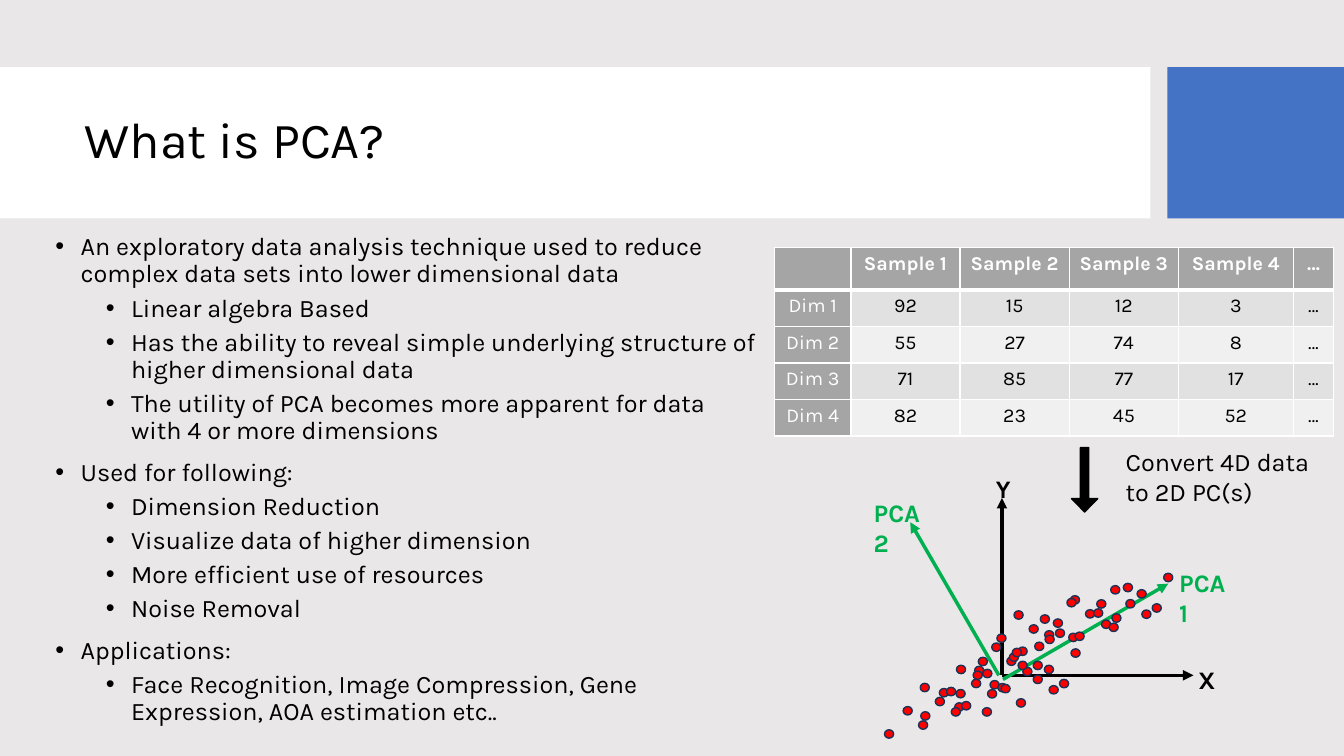
from dataclasses import dataclass

from lxml import etree
from pptx import Presentation
from pptx.dml.color import RGBColor
from pptx.enum.shapes import MSO_CONNECTOR, MSO_SHAPE
from pptx.enum.text import MSO_ANCHOR, MSO_AUTO_SIZE, PP_ALIGN
from pptx.oxml.ns import qn
from pptx.util import Pt

RECT, OVAL, DOWN_ARROW = MSO_SHAPE.RECTANGLE, MSO_SHAPE.OVAL, MSO_SHAPE.DOWN_ARROW
STRAIGHT = MSO_CONNECTOR.STRAIGHT
LEFT, CENTER = PP_ALIGN.LEFT, PP_ALIGN.CENTER
TOP, MIDDLE = MSO_ANCHOR.TOP, MSO_ANCHOR.MIDDLE
NO_FIT = MSO_AUTO_SIZE.NONE


@dataclass(frozen=True)
class Theme:
    font: str = "Karla"
    back: str = "E9E7E7"
    white: str = "FFFFFF"
    black: str = "000000"
    blue: str = "4472C4"
    green: str = "00B050"
    red: str = "FF0000"
    navy: str = "1E3256"
    head: str = "A5A5A5"
    bands: tuple = ("E1E1E1", "F0F0F0")
    title_size: int = 36
    text_size: int = 18
    table_size: int = 14


class Deck:
    """Holds the theme and the current slide."""

    def __init__(self, slide, theme):
        self.s, self.t = slide, theme
        bg = slide.background.fill
        bg.solid()
        bg.fore_color.rgb = RGBColor.from_string(theme.back)

    def run(self, p, text, size, color, bold=False):
        r = p.add_run()
        r.text = text
        r.font.name, r.font.size, r.font.bold = self.t.font, Pt(size), bold
        r.font.color.rgb = RGBColor.from_string(color)

    def place(self, sp, box, anchor):
        sp.left, sp.top, sp.width, sp.height = map(Pt, box)
        tf = sp.text_frame
        tf.word_wrap, tf.auto_size, tf.vertical_anchor = True, NO_FIT, anchor
        return tf

    def title(self, box, text):
        p = self.place(self.s.shapes.title, box, MIDDLE).paragraphs[0]
        p.alignment, p.line_spacing = LEFT, 0.9
        self.run(p, text, self.t.title_size, self.t.black)

    def bullets(self, box, items):
        tf = self.place(self.s.placeholders[1], box, TOP)
        for i, (level, text) in enumerate(items):
            p = tf.add_paragraph() if i else tf.paragraphs[0]
            p.level, p.alignment, p.line_spacing = level, LEFT, 0.9
            p.space_before = Pt(5 if level else 10)
            pPr = p._p.get_or_add_pPr()
            pPr.set("marL", str(Pt(54 if level else 18)))
            pPr.set("indent", str(Pt(-18)))
            etree.SubElement(pPr, qn("a:buFont"), typeface="Arial")
            etree.SubElement(pPr, qn("a:buChar"), char="•")
            self.run(p, text, self.t.text_size, self.t.black)

    def shape(self, parent, kind, box, fill, line=None):
        sp = parent.shapes.add_shape(kind, *map(Pt, box))
        sp.shadow.inherit = False
        sp.fill.solid()
        sp.fill.fore_color.rgb = RGBColor.from_string(fill)
        if line:
            sp.line.color.rgb = RGBColor.from_string(line)
            sp.line.width = Pt(1)
        else:
            sp.line.fill.background()
        return sp

    def backdrop(self, box, fill):
        sp = self.shape(self.s, RECT, box, fill)
        self.s.shapes._spTree.insert(2, sp._element)

    def arrow(self, parent, start, end, color):
        c = parent.shapes.add_connector(STRAIGHT, *map(Pt, start + end))
        c.line.color.rgb = RGBColor.from_string(color)
        c.line.width = Pt(2.5)
        etree.SubElement(c.line._get_or_add_ln(), qn("a:tailEnd"), type="triangle")
        etree.SubElement(c._element.spPr, qn("a:effectLst"))

    def label(self, parent, box, lines, color, bold=False, wrap=False):
        tf = parent.shapes.add_textbox(*map(Pt, box)).text_frame
        tf.word_wrap = wrap
        for i, text in enumerate(lines):
            p = tf.add_paragraph() if i else tf.paragraphs[0]
            self.run(p, text, self.t.text_size, color, bold)

    def border(self, cell, sides):
        tcPr = cell._tc.get_or_add_tcPr()
        for side, width in sides.items():
            ln = etree.SubElement(tcPr, qn(f"a:ln{side}"), w=str(Pt(width)))
            fill = etree.SubElement(ln, qn("a:solidFill"))
            etree.SubElement(fill, qn("a:srgbClr"), val=self.t.white)

    def table(self, left, top, widths, heights, rows):
        box = map(Pt, (left, top, sum(widths), sum(heights)))
        tbl = self.s.shapes.add_table(len(rows), len(widths), *box).table
        for col, width in zip(tbl.columns, widths):
            col.width = Pt(width)
        for i, row in enumerate(rows):
            tbl.rows[i].height = Pt(heights[i])
            for j, text in enumerate(row):
                cell = tbl.cell(i, j)
                self.border(cell, {"L": 1, "R": 1, "T": 3 if i == 1 else 1,
                                   "B": 3 if i == 0 else 1})
                heading = i == 0 or j == 0
                cell.fill.solid()
                cell.fill.fore_color.rgb = RGBColor.from_string(
                    self.t.head if heading else self.t.bands[(i - 1) % 2])
                p = cell.text_frame.paragraphs[0]
                p.alignment = CENTER
                if text:
                    self.run(p, text, self.t.table_size,
                             self.t.white if heading else self.t.black, i == 0)


BULLETS = [
    (0, "An exploratory data analysis technique used to reduce complex data sets "
        "into lower dimensional data"),
    (1, "Linear algebra Based"),
    (1, "Has the ability to reveal simple underlying structure of higher dimensional data"),
    (1, "The utility of PCA becomes more apparent for data with 4 or more dimensions"),
    (0, "Used for following:"),
    (1, "Dimension Reduction"),
    (1, "Visualize data of higher dimension"),
    (1, "More efficient use of resources"),
    (1, "Noise Removal"),
    (0, "Applications:"),
    (1, "Face Recognition, Image Compression, Gene Expression, AOA estimation etc.."),
]
SAMPLES = [
    ["", "Sample 1", "Sample 2", "Sample 3", "Sample 4", "…"],
    ["Dim 1", "92", "15", "12", "3", "…"],
    ["Dim 2", "55", "27", "74", "8", "…"],
    ["Dim 3", "71", "85", "77", "17", "…"],
    ["Dim 4", "82", "23", "45", "52", "…"],
]
# The scatter is one cluster of dots set at several origins
CLUSTER = [(0, 0), (11, 10.2), (12.2, -16.6), (31, -13.7), (34.4, 0.8),
           (-13.3, 16.6), (23, -6.6), (41.8, -3.6), (50, -25.4)]
ORIGINS = [(696.2, 475.9), (752.4, 442.1), (671, 491.8), (712.1, 452.9),
           (715, 488.9), (645.1, 504.7), (781.2, 434.9)]


def main():
    prs = Presentation()
    prs.slide_width, prs.slide_height = Pt(960), Pt(540)
    t = Theme()
    s = prs.slides.add_slide(prs.slide_layouts[1])
    deck = Deck(s, t)

    # Title band and list
    deck.backdrop((0, 48, 821.8, 108), t.white)
    deck.backdrop((833.8, 48, 126.2, 108), t.blue)
    deck.title((53.3, 59, 756.7, 85), "What is PCA?")
    deck.bullets((32.4, 163.4, 517, 339), BULLETS)

    # Axes and principal components
    plot = s.shapes.add_group_shape()
    deck.arrow(plot, (715.7, 482.4), (715.7, 355.7), t.black)
    deck.arrow(plot, (715.7, 482.4), (852.5, 482.4), t.black)
    deck.arrow(plot, (713.5, 482.4), (650.2, 373), t.green)
    deck.arrow(plot, (716.4, 485.3), (834.5, 416.9), t.green)
    deck.label(plot, (835.2, 401.8, 52, 24.5), ["PCA1"], t.green, True, True)
    deck.label(plot, (617, 351.4, 52, 24.5), ["PCA2"], t.green, True, True)

    # Scatter dots
    for x, y in ORIGINS:
        for dx, dy in CLUSTER:
            deck.shape(plot, OVAL, (x + dx, y + dy, 6.5, 6), t.red, t.navy)
    deck.label(plot, (704.2, 334.8, 23.8, 24.5), ["Y"], t.black, True)
    deck.label(plot, (848.9, 470.9, 23, 24.5), ["X"], t.black, True)

    # Sample table and conversion arrow
    deck.table(553.2, 176.7, [54.6, 78, 78, 78, 82, 29], [30.4] + [26.1] * 4, SAMPLES)
    down = deck.shape(s, DOWN_ARROW, (765.4, 319.7, 18.7, 46), t.black, t.black)
    down.adjustments[0], down.adjustments[1] = 0.32, 0.51
    deck.label(s, (797, 315.4, 146.2, 51), ["Convert 4D data", "to 2D PC(s)"], t.black)

    prs.save("out.pptx")


if __name__ == "__main__":
    main()
